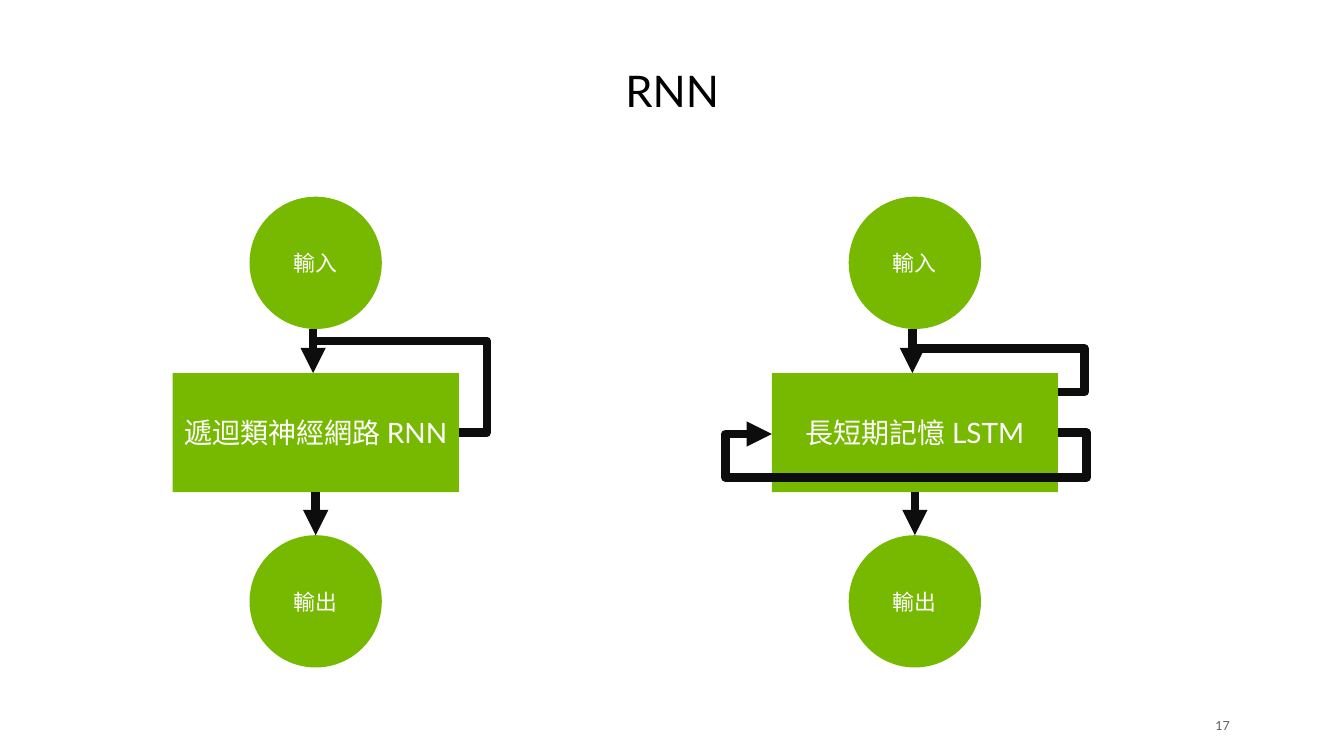
from lxml.etree import SubElement
from pptx import Presentation
from pptx.dml.color import RGBColor
from pptx.enum.shapes import MSO_CONNECTOR, MSO_SHAPE
from pptx.enum.text import MSO_ANCHOR, MSO_AUTO_SIZE, PP_ALIGN
from pptx.oxml.ns import qn
from pptx.util import Pt

# Content: loops are corner points, x measured from the column centre
TITLE = "RNN"
PAGE = "17"
INPUT, OUTPUT = "輸入", "輸出"
NETWORKS = [
    {"centre": 225.5, "name": "遞迴類神經網路 RNN", "loops": [
        {"points": [(102.2, 309), (122.2, 309), (122.2, 243.5), (0, 243.5)],
         "arrow": False},
    ]},
    {"centre": 653.5, "name": "長短期記憶 LSTM", "loops": [
        {"points": [(102.2, 280), (121.2, 280), (121.2, 249), (-1, 249)],
         "arrow": False},
        {"points": [(102.2, 309), (122.7, 309), (122.7, 341.3),
                    (-135.3, 341.3), (-135.3, 310), (-102.2, 310)],
         "arrow": True},
    ]},
]

THEME = {
    "font": "Lato",
    "green": RGBColor(0x76, 0xB9, 0x00),
    "line": RGBColor(0x0D, 0x0D, 0x0D),
    "white": RGBColor(0xFF, 0xFF, 0xFF),
    "black": RGBColor(0, 0, 0),
    "grey": RGBColor(0x5E, 0x5E, 0x5E),
    "title": 31.1, "network": 20, "node": 15.6, "page": 8.9, "weight": 6,
}

# Vertical layout shared by both columns
CIRCLE = 94.5
BOX_W, BOX_H, BOX_TOP = 204.4, 85, 266.5
INPUT_TOP, OUTPUT_TOP = 140.5, 382.3
INPUT_ARROW_SHIFT = -1.8


def write(tf, text, size, color, align=PP_ALIGN.CENTER):
    p = tf.paragraphs[0]
    p.alignment = align
    r = p.add_run()
    r.text = text
    r.font.name = THEME["font"]
    r.font.size = Pt(size)
    r.font.color.rgb = color
    return p


def add_node(slide, kind, centre, top, w, h, text, size):
    sp = slide.shapes.add_shape(kind, Pt(centre - w / 2), Pt(top), Pt(w), Pt(h))
    sp.shadow.inherit = False
    sp.fill.solid()
    sp.fill.fore_color.rgb = THEME["green"]
    sp.line.fill.background()
    sp.text_frame.word_wrap = True
    sp.text_frame.vertical_anchor = MSO_ANCHOR.MIDDLE
    write(sp.text_frame, text, size, THEME["white"])


def add_line(slide, kind, start, end, arrow):
    cx = slide.shapes.add_connector(kind, *(Pt(v) for v in (*start, *end)))
    cx.line.color.rgb = THEME["line"]
    cx.line.width = Pt(THEME["weight"])
    ln = cx.line._ln
    SubElement(ln, qn("a:round"))
    if arrow:
        SubElement(ln, qn("a:tailEnd"), type="triangle")
    SubElement(cx._element.spPr, qn("a:effectLst"))
    return cx


def add_loop(slide, centre, points, arrow):
    pts = [(centre + x, y) for x, y in points]
    (x0, y0), (x1, y1) = pts[0], pts[-1]
    cx = add_line(slide, MSO_CONNECTOR.ELBOW, pts[0], pts[-1], arrow)
    # Each bend is a share of the way from start to end, x and y in turn
    geom = cx._element.spPr.find(qn("a:prstGeom"))
    geom.set("prst", f"bentConnector{len(pts) - 1}")
    guides = geom.find(qn("a:avLst"))
    if guides is None:
        guides = SubElement(geom, qn("a:avLst"))
    for i, (x, y) in enumerate(pts[1:-2], 1):
        share = (x - x0) / (x1 - x0) if i % 2 else (y - y0) / (y1 - y0)
        SubElement(guides, qn("a:gd"), name=f"adj{i}",
                   fmla=f"val {round(share * 100000)}")


def add_network(slide, centre, name, loops):
    add_node(slide, MSO_SHAPE.RECTANGLE, centre, BOX_TOP, BOX_W, BOX_H,
             name, THEME["network"])
    for top, text in ((INPUT_TOP, INPUT), (OUTPUT_TOP, OUTPUT)):
        add_node(slide, MSO_SHAPE.OVAL, centre, top, CIRCLE, CIRCLE,
                 text, THEME["node"])
    for x, y0, y1 in ((centre, BOX_TOP + BOX_H, OUTPUT_TOP),
                      (centre + INPUT_ARROW_SHIFT, INPUT_TOP + CIRCLE, BOX_TOP)):
        add_line(slide, MSO_CONNECTOR.STRAIGHT, (x, y0), (x, y1), True)
    for loop in loops:
        add_loop(slide, centre, **loop)


def main():
    prs = Presentation()
    prs.slide_width, prs.slide_height = Pt(960), Pt(540)
    slide = prs.slides.add_slide(prs.slide_layouts[5])

    # Title
    title = slide.shapes.title
    title.left, title.top, title.width, title.height = (
        Pt(v) for v in (43.9, 35.3, 872.6, 51.8))
    tf = title.text_frame
    tf.auto_size = MSO_AUTO_SIZE.NONE
    tf.vertical_anchor = MSO_ANCHOR.BOTTOM
    write(tf, TITLE, THEME["title"], THEME["black"]).line_spacing = 0.9

    # Diagrams
    for network in NETWORKS:
        add_network(slide, **network)

    # Page number
    sp = slide.shapes.add_textbox(Pt(854), Pt(511), Pt(24.5), Pt(14.4))
    tf = sp.text_frame
    tf.margin_left = tf.margin_right = tf.margin_top = tf.margin_bottom = 0
    tf.word_wrap = True
    tf.vertical_anchor = MSO_ANCHOR.MIDDLE
    write(tf, PAGE, THEME["page"], THEME["grey"], PP_ALIGN.RIGHT)

    prs.save("out.pptx")


if __name__ == "__main__":
    main()
